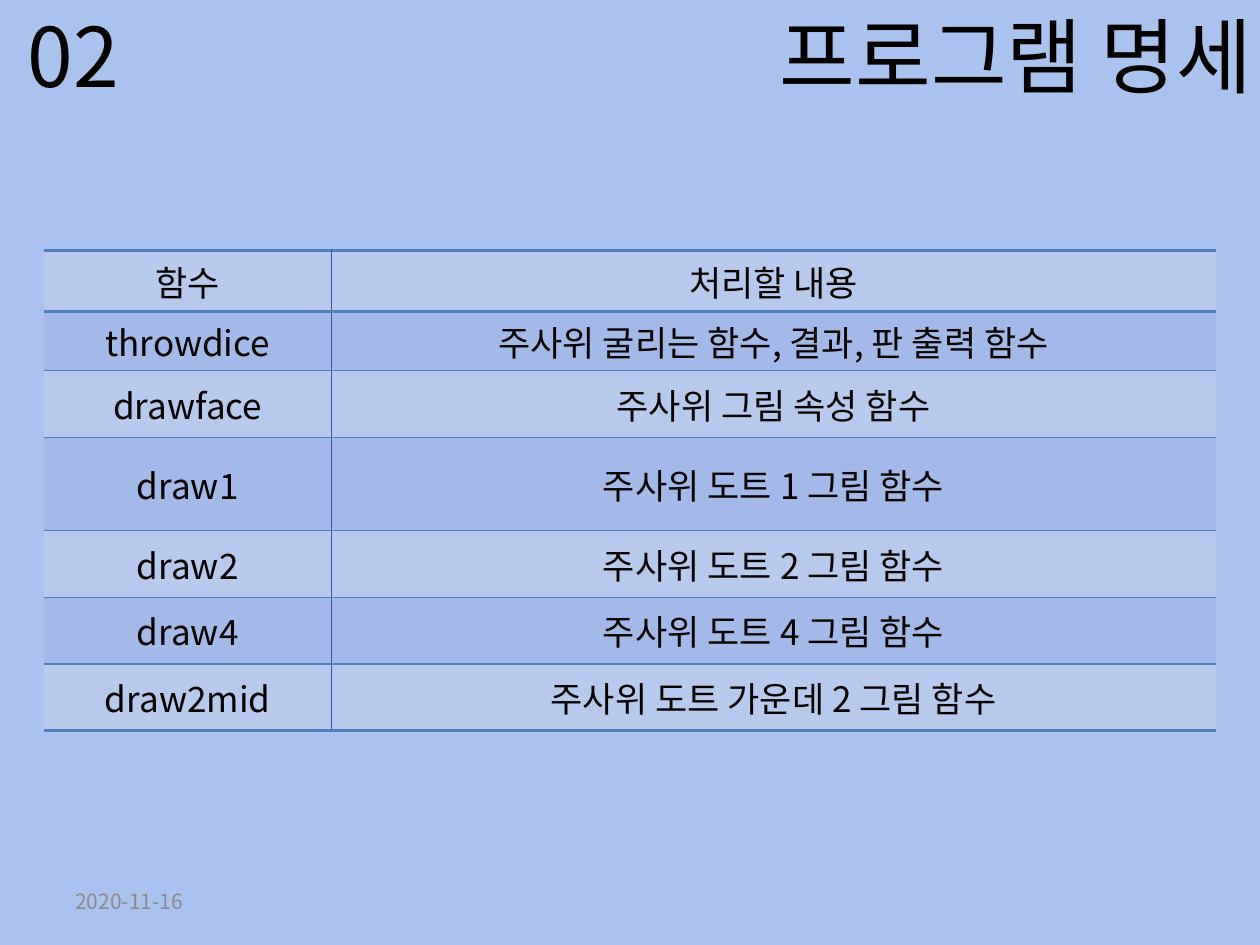
"""Build the program specification slide with its table of dice functions."""
from lxml.etree import SubElement
from pptx import Presentation
from pptx.dml.color import RGBColor
from pptx.enum.text import MSO_ANCHOR as Anchor, PP_ALIGN as Align
from pptx.oxml.ns import qn
from pptx.util import Inches, Pt

FONT = "Noto Sans CJK KR"
BACKGROUND = RGBColor(0xAA, 0xC3, 0xEE)
INK = RGBColor(0x00, 0x00, 0x00)
DATE_GRAY = RGBColor(0x8C, 0x8C, 0x8C)
RULE_BLUE = RGBColor(0x4F, 0x81, 0xBD)
DIVIDER_BLUE = RGBColor(0x30, 0x57, 0xB9)
BANDS = [RGBColor(0xC0, 0xCD, 0xEF), RGBColor(0xA0, 0xB4, 0xE6)]
THICK, THIN, DIVIDER = 1.79, 0.79, 1


def write(frame, text, size, color, align):
    paragraph = frame.paragraphs[0]
    paragraph.alignment = align
    run = paragraph.add_run()
    run.text = text
    run.font.size = Pt(size)
    run.font.name = FONT
    run.font.color.rgb = color
    SubElement(run.font._element, qn("a:ea"), typeface=FONT)


def add_border(properties, side, color, width):
    line = SubElement(properties, qn(f"a:ln{side}"), w=str(Pt(width)))
    if width:
        fill = SubElement(line, qn("a:solidFill"))
        SubElement(fill, qn("a:srgbClr"), val=str(color))
    else:
        SubElement(line, qn("a:noFill"))


deck = Presentation()
deck.slide_width, deck.slide_height = Inches(10), Inches(7.5)
slide = deck.slides.add_slide(deck.slide_layouts[6])
slide.background.fill.solid()
slide.background.fill.fore_color.rgb = BACKGROUND

labels = [
    ("02", (0.12, 0, 1.5, 0.87), 47, INK, Align.LEFT),
    ("프로그램 명세", (3.56, 0, 6.48, 0.87), 47, INK, Align.RIGHT),
    ("2020-11-16", (0.5, 6.95, 2.33, 0.4), 12, DATE_GRAY, Align.LEFT),
]
for text, place, size, color, align in labels:
    frame = slide.shapes.add_textbox(*map(Inches, place)).text_frame
    frame.word_wrap = True
    frame.vertical_anchor = Anchor.MIDDLE
    write(frame, text, size, color, align)

functions = [
    ("함수", "처리할 내용"),
    ("throwdice", "주사위 굴리는 함수, 결과, 판 출력 함수"),
    ("drawface", "주사위 그림 속성 함수"),
    ("draw1", "주사위 도트 1 그림 함수"),
    ("draw2", "주사위 도트 2 그림 함수"),
    ("draw4", "주사위 도트 4 그림 함수"),
    ("draw2mid", "주사위 도트 가운데 2 그림 함수"),
]
column_widths = [2.28, 7.02]
row_heights = [0.48, 0.47, 0.53, 0.74, 0.53, 0.53, 0.53]
rules = [THICK, THICK] + [THIN] * (len(functions) - 2) + [THICK]
dividers = [0, DIVIDER, 0]

table = slide.shapes.add_table(
    len(functions), len(column_widths), Inches(0.35), Inches(1.99),
    Inches(sum(column_widths)), Inches(sum(row_heights))).table
table.first_row = table.horz_banding = False
for column, width in zip(table.columns, column_widths):
    column.width = Inches(width)
for row, height in zip(table.rows, row_heights):
    row.height = Inches(height)

for r, entry in enumerate(functions):
    for c, text in enumerate(entry):
        cell = table.cell(r, c)
        cell.vertical_anchor = Anchor.MIDDLE
        cell.margin_top = cell.margin_bottom = Inches(0.02)
        write(cell.text_frame, text, 20, INK, Align.CENTER)
        properties = cell._tc.get_or_add_tcPr()
        add_border(properties, "L", DIVIDER_BLUE, dividers[c])
        add_border(properties, "R", DIVIDER_BLUE, dividers[c + 1])
        add_border(properties, "T", RULE_BLUE, rules[r])
        add_border(properties, "B", RULE_BLUE, rules[r + 1])
        cell.fill.solid()
        cell.fill.fore_color.rgb = BANDS[r % 2]
        shade = properties.find(qn("a:solidFill")).find(qn("a:srgbClr"))
        SubElement(shade, qn("a:alpha"), val="65000")

deck.save("out.pptx")
